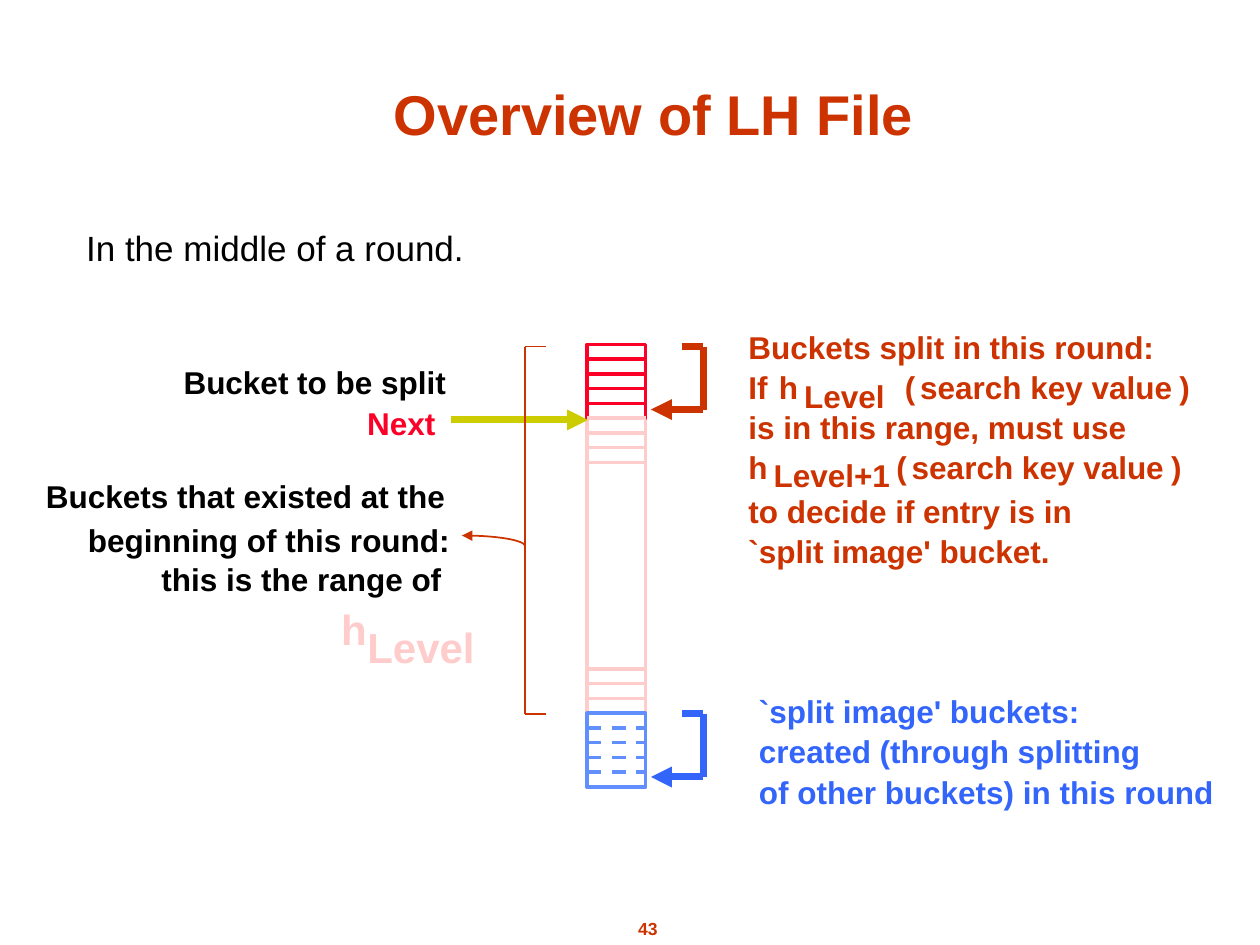
"""Build the slide that explains a linear hashing file in the middle of a round."""
import lxml.etree
import pptx
import pptx.dml.color
import pptx.enum.dml
import pptx.enum.shapes
import pptx.enum.text
import pptx.oxml.ns
import pptx.util

deck = pptx.Presentation()
deck.slide_width = pptx.util.Inches(10)
deck.slide_height = pptx.util.Inches(7.5)
unit = deck.slide_width / 120
slide = deck.slides.add_slide(deck.slide_layouts[1])
shapes = slide.shapes
hue = pptx.dml.color.RGBColor.from_string
tag = pptx.oxml.ns.qn
kind = pptx.enum.shapes.MSO_SHAPE
align = pptx.enum.text.PP_ALIGN
rust, red, pink, blue, sky, gold = "CC3300", "FC0128", "FFCCCC", "3365FB", "618FFD", "CCCC00"


def write(text, x, y, w, h=4.8, box=None, size=18, color="000000", bold=True, side=align.LEFT, wrap=False):
    """Put formatted text in a new box or in the given placeholder."""
    box = box or shapes.add_textbox(0, 0, 0, 0)
    box.left, box.top, box.width, box.height = (round(v * unit) for v in (x, y, w, h))
    frame = box.text_frame
    frame.text = text
    frame.word_wrap = wrap
    frame.auto_size = pptx.enum.text.MSO_AUTO_SIZE.NONE
    line = frame.paragraphs[0]
    line.alignment = side
    font = line.runs[0].font
    font.name, font.size, font.bold = "Arial", pptx.util.Pt(size), bold
    font.color.rgb = hue(color)
    return line


def draw(x, y, x2, y2, color, width=2, form=None, head=False, dash=False, home=shapes):
    """Draw a line, or the outline of a preset shape, between two grid points."""
    x, y, x2, y2 = (round(v * unit) for v in (x, y, x2, y2))
    if form is None:
        item = home.add_connector(pptx.enum.shapes.MSO_CONNECTOR.STRAIGHT, x, y, x2, y2)
    else:
        item = home.add_shape(form, x, y, x2 - x, y2 - y)
        item.fill.background()
    item.line.color.rgb = hue(color)
    item.line.width = pptx.util.Pt(width)
    if dash:
        item.line.dash_style = pptx.enum.dml.MSO_LINE.DASH
    props = item.element.spPr
    if head:
        lxml.etree.SubElement(props.find(tag("a:ln")), tag("a:headEnd"), type="triangle")
    lxml.etree.SubElement(props, tag("a:effectLst"))


write("Overview of LH File ", 12, 3.5, 102, 14.5, box=shapes.title, size=32,
      color=rust, side=align.CENTER, wrap=True)
intro = write("In the middle of a round.", 7, 21, 110, 13, box=slide.placeholders[1],
              size=20, bold=False, wrap=True)
intro.space_before = pptx.util.Pt(8.8)
props = intro._p.get_or_add_pPr()
props.set("marL", str(pptx.util.Inches(0.38)))
props.set("indent", str(-pptx.util.Inches(0.38)))
lxml.etree.SubElement(props, tag("a:buNone"))
write("43", 56.5, 86.8, 10.4, 3.2, size=10, color=rust, side=align.CENTER)

write("Level", 33.8, 58.6, 12.6, 6, size=24, color=pink)
write("h", 31.3, 56.9, 5.9, 6, size=24, color=pink)
write("Next", 33.8, 37.9, 8.9, color=red)
for text, x, y, w in [
    ("Bucket to be split", 16.3, 34, 28.2),
    ("Buckets that existed at the", 3.2, 44.8, 40.4),
    ("beginning of this round:", 7.2, 49, 37.7),
    ("this is the range of", 14.2, 52.7, 29),
]:
    write(text, x, y, w)

for text, x, y, w in [
    ("Buckets split in this round:", 70.1, 30.7, 41),
    ("If", 70.1, 34.5, 5),
    ("h", 73, 34.5, 5),
    ("Level", 75.4, 35.3, 10.1),
    ("is in this range, must use", 70.1, 38.3, 38.4),
    ("h", 70.1, 42.1, 5),
    ("Level+1", 72.5, 42.8, 13.4),
    ("to decide if entry is in", 70.1, 46.3, 34.1),
    ("`split image' bucket.", 70.1, 50.1, 31.1),
]:
    write(text, x, y, w, color=rust)
for x, y in [(85, 34.5), (84.2, 42.1)]:
    for text, step, w in [("(", 0, 3.4), ("search key value", 1.45, 27.2), (")", 26.15, 3.4)]:
        write(text, x + step, y, w, color=rust)

for text, y, w in [
    ("`split image' buckets:", 65.3, 32.9),
    ("created (through splitting", 69.1, 38.8),
    ("of other buckets) in this round", 73, 45.7),
]:
    write(text, 71.1, y, w, color=blue)

left, right, top, row = 55.9, 61.5, 32.8, 1.405
for color, first, last, rows in [
    (pink, 0, 30, range(22, 26)),
    (sky, 25, 30, range(26, 30)),
    (red, 0, 5, range(1, 5)),
]:
    draw(left, top + first * row, right, top + last * row, color, form=kind.RECTANGLE)
    for n in rows:
        draw(left, top + n * row, right, top + n * row, color, dash=color == sky)
for n in range(5, 9):
    draw(left, top + n * row, right, top + n * row, pink)

for y, color in [(33, rust), (68, blue)]:
    group = shapes.add_group_shape().shapes
    draw(65, y, 67, y, color, 4, home=group)
    draw(67, y, 67, y + 6, color, 4, home=group)
    draw(62, y + 6, 67, y + 6, color, 4, head=True, home=group)

draw(56, 40, 43, 40, gold, 4, head=True)
for y in (33, 68):
    draw(52, y, 50, y, rust, 1)
draw(50, 33, 50, 68, rust, 1)
draw(38, 51, 50, 53, rust, 1, form=kind.ARC, head=True)

deck.save("out.pptx")
